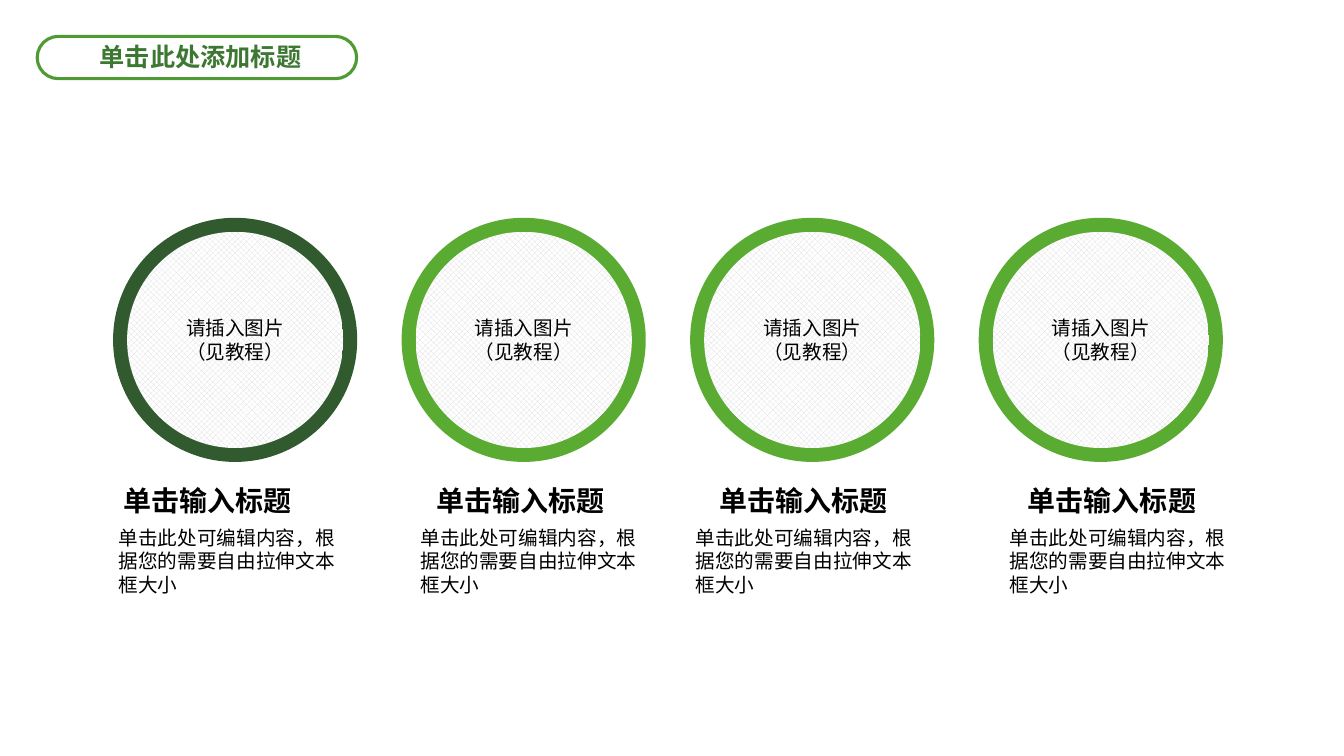
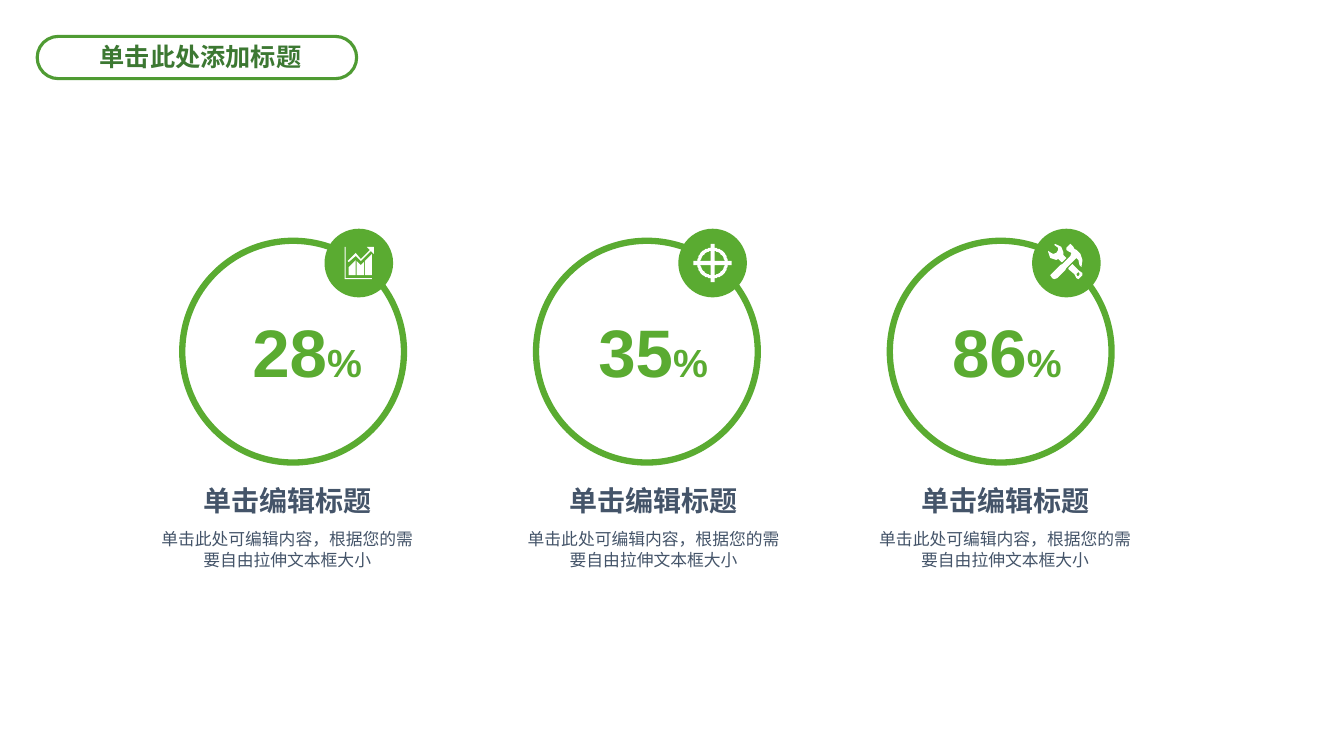
from math import asin, cos, pi, sin

from lxml import etree
from pptx import Presentation
from pptx.dml.color import RGBColor
from pptx.enum import dml, shapes, text
from pptx.oxml.ns import qn
from pptx.util import Pt

GREEN, DARK, EDGE, TITLE = "5AAB31", "315B2F", "4F9B33", "3C7832"
WHITE, BLACK, SLATE, GREY = "FFFFFF", "000000", "445469", "DBDBDB"
HAN, LATIN = "Noto Sans CJK SC", "Arial"
LEFT, MID = text.PP_ALIGN.LEFT, text.PP_ALIGN.CENTER
OVAL = shapes.MSO_SHAPE.OVAL
BODY = "单击此处可编辑内容，根据您的需要自由拉伸文本框大小"


def tint(code):
    return RGBColor.from_string(code)


def apply(target, values):
    for name, value in values.items():
        setattr(target, name, value)


def write(frame, paras, size, color, face=LATIN, bold=False, align=LEFT, pad=(7.2, 3.6),
          anchor=text.MSO_ANCHOR.TOP):
    """Fill a frame; each paragraph is a list of (words, size or None) runs."""
    side, edge = map(Pt, pad)
    apply(frame, dict(word_wrap=True, auto_size=text.MSO_AUTO_SIZE.NONE, vertical_anchor=anchor,
                      margin_left=side, margin_right=side, margin_top=edge, margin_bottom=edge))
    for i, runs in enumerate(paras):
        para = frame.add_paragraph() if i else frame.paragraphs[0]
        para.alignment = align
        for words, own in runs:
            run = para.add_run()
            run.text = words
            apply(run.font, dict(size=Pt(own or size), bold=bold, name=face))
            run.font.color.rgb = tint(color)
            latin = run.font._element.find(qn("a:latin"))
            east = etree.Element(qn("a:ea"), typeface=HAN)
            latin.addnext(east)


def label(slide, box, runs, size, color, **style):
    area = slide.shapes.add_textbox(*map(Pt, box))
    write(area.text_frame, [runs], size, color, **style)


def paint(shape, fill=None, line=None, width=1):
    shape.shadow.inherit = False
    if fill:
        shape.fill.solid()
        shape.fill.fore_color.rgb = tint(fill)
    else:
        shape.fill.background()
    if line:
        shape.line.color.rgb = tint(line)
        shape.line.width = Pt(width)
    else:
        shape.line.fill.background()
    return shape


def disc(slide, x, y, size, **style):
    return paint(slide.shapes.add_shape(OVAL, *map(Pt, (x, y, size, size))), **style)


def start(deck):
    """Add a slide with its title in the outlined pill."""
    slide = deck.slides.add_slide(deck.slide_layouts[5])
    pill = slide.shapes.add_shape(shapes.MSO_SHAPE.ROUNDED_RECTANGLE,
                                  *map(Pt, (26.6, 26, 228.2, 30.2)))
    pill.adjustments[0] = 0.5
    paint(pill, WHITE, EDGE, 2.25)
    title = slide.shapes.title
    apply(title, dict(left=Pt(64), top=Pt(26), width=Pt(160), height=Pt(29)))
    write(title.text_frame, [[("单击此处添加标题", None)]], 18, TITLE, face=HAN, bold=True)
    pill._element.addnext(title._element)
    return slide


def photo(slide, x, y, color, head, body):
    """Place a picture ring; head and body are the text shifts from its left."""
    size, rim = 174.4, 10
    disc(slide, x, y, size, fill=color)
    label(slide, (x + head, y + 186, 156, 32), [("单击输入标题", None)], 20, BLACK, bold=True)
    label(slide, (x + body, y + 220, 166, 51), [(BODY, None)], 14, BLACK, pad=(0, 0))
    core = disc(slide, x + rim, y + rim, size - 2 * rim)
    core.fill.patterned()
    core.fill.pattern = dml.MSO_PATTERN.LARGE_CHECKER_BOARD
    core.fill.fore_color.rgb = tint(GREY)
    core.fill.back_color.rgb = tint(WHITE)
    write(core.text_frame, [[("请插入图片", None)], [("（见教程）", None)]], 14, BLACK,
          face=HAN, align=MID, anchor=text.MSO_ANCHOR.MIDDLE)


def arc(radius, half, turn, steps=12):
    """Points of a quarter arc that stops short of both axes by half a bar."""
    gap = asin(half / radius)
    angles = [turn + gap + (pi / 2 - 2 * gap) * i / steps for i in range(steps + 1)]
    return [(radius * cos(a), radius * sin(a)) for a in angles]


def cross():
    """Outlines of a ring with crosshairs, centred in the badge."""
    mid, half, tip = 34, 1.9, 19
    rim, holes = [], []
    for turn in (i * pi / 2 for i in range(4)):
        c, s = cos(turn), sin(turn)
        spin = lambda px, py: (px * c - py * s, px * s + py * c)
        rim += [spin(tip, -half), spin(tip, half)] + arc(15.4, half, turn)
        holes.append([spin(half, half)] + arc(12, half, turn))
    return [[(mid + px, mid + py) for px, py in loop] for loop in [rim] + holes]


# Icon outlines, in hundredths of an inch from the badge corner
CHART = [
    [(20.7, 18), (19.6, 18), (19.6, 50), (47, 50), (47, 48.6), (20.7, 48.6)],
    [(24, 46), (31, 46), (31, 31), (24, 38)],
    [(32, 46), (39, 46), (39, 33), (36, 35.5), (32, 31.5)],
    [(40, 46), (47, 46), (47, 25), (40, 32)],
    [(31, 27), (36, 32), (46, 22), (49, 25), (49, 18), (42, 18), (45, 21), (36, 29.5),
     (31, 24), (23, 32), (24, 33)],
]
GRIP = [
    [(36, 40), (42, 45), (44, 49), (46, 50), (50, 45.5), (50, 44), (46, 41), (40, 35), (36, 39)],
    [(46, 43), (47, 44), (47, 46), (46, 47), (45, 47), (44, 45), (45, 43.5)],
]
WRENCH = [[(34, 29), (31, 26), (31, 23), (29, 17.5), (23, 15), (22, 16), (25.5, 19), (26, 21),
           (24, 24), (21, 25), (19, 24.5), (16, 22), (16, 23), (18.5, 29), (24, 31), (26, 30),
           (29, 33), (30, 33)]]
HAMMER = [[(47, 36), (49, 38), (50, 31), (48, 25), (44, 21), (42, 20), (41, 18), (39, 16),
           (38, 15), (37, 16), (34, 19), (34, 21), (37, 23), (39, 24), (38, 27), (30, 35),
           (28, 36), (20, 44), (18.5, 46.5), (19.5, 49), (22, 50), (25, 49), (33, 41),
           (34, 39), (43, 30), (44, 29), (46, 31)]]


def icon(slide, x, y, loops):
    pen = slide.shapes.build_freeform(*loops[0][0], scale=Pt(0.72))
    for i, loop in enumerate(loops):
        if i:
            pen.move_to(*loop[0])
        pen.add_line_segments(loop[1:], close=True)
    paint(pen.convert_to_shape(Pt(x), Pt(y)), WHITE)


def gauge(slide, x, y, value, icons, digits, words):
    """Place a percent ring; digits and words are text shifts from its left."""
    disc(slide, x, y, 158.4, line=GREEN, width=4.5)
    bx, by = x + 101.6, y - 8.6
    disc(slide, bx, by, 49, fill=GREEN)
    for loops in icons:
        icon(slide, bx, by, loops)
    label(slide, (x + digits, y + 46, 107, 66), [(value, None), ("%", 28)], 48, GREEN, bold=True)
    note = dict(align=MID, pad=(0, 0))
    label(slide, (x + words, y + 173.6, 184, 24), [("单击编辑标题", None)], 20, SLATE,
          bold=True, **note)
    label(slide, (x + words, y + 206, 184, 29), [(BODY, None)], 12, SLATE, **note)


def main():
    deck = Presentation()
    deck.slide_width, deck.slide_height = Pt(960), Pt(540)

    slide = start(deck)
    photos = [(DARK, 0, 4), (GREEN, 18, 13.4), (GREEN, 14, 4), (GREEN, 28, 22)]
    for i, item in enumerate(photos):
        photo(slide, 80.8 + 206.1 * i, 155.6, *item)

    slide = start(deck)
    gauges = [("28", [CHART], 43, -17), ("35", [cross()], 37.4, -8),
              ("86", [GRIP, WRENCH, HAMMER], 37.4, -9.6)]
    for i, item in enumerate(gauges):
        gauge(slide, 130.2 + 252.7 * i, 172, *item)

    deck.save("out.pptx")


if __name__ == "__main__":
    main()
